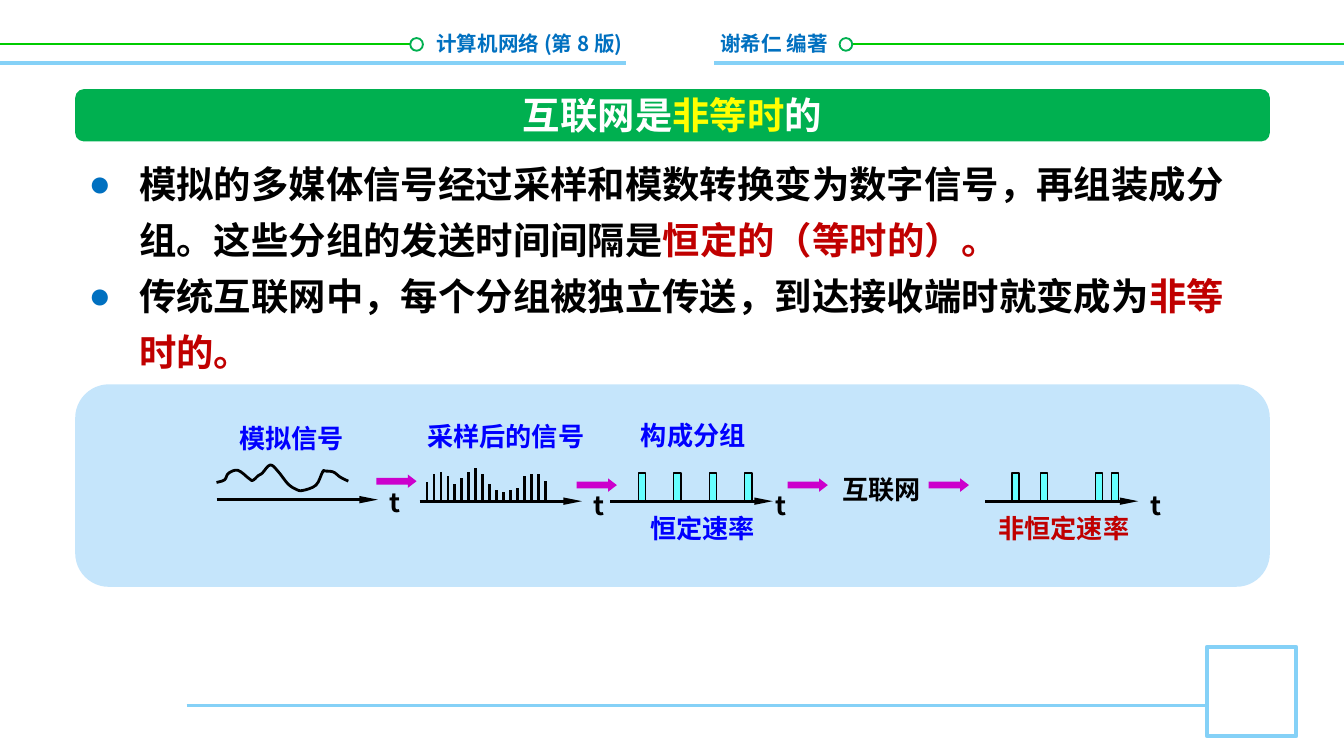
import pptx
import pptx.util
import pptx.dml.color
import pptx.enum.shapes
import pptx.enum.text
import pptx.oxml.ns
import lxml.etree

Pt = pptx.util.Pt
Kind = pptx.enum.shapes.MSO_SHAPE
Align = pptx.enum.text.PP_ALIGN
Fit = pptx.enum.text.MSO_AUTO_SIZE
Top = pptx.enum.text.MSO_ANCHOR.TOP
FONT = "Noto Sans CJK SC"
COLORS = {
    "white": "FFFFFF", "black": "000000", "sky": "85D1F7", "lime": "00CC00",
    "green": "00B050", "blue": "0070C0", "pale": "C5E5FB", "yellow": "FFFF00",
    "red": "C00000", "ink": "0000FF", "cyan": "66FFFF", "purple": "CC00CC",
}
SAMPLES = [10, 14.4, 15.8, 13.7, 9.4, 12.2, 15.8, 18, 14.4,
           9.4, 6, 5, 5.8, 7.2, 13.7, 14.4, 14.4, 10.8]
WAVE = [(0, 10.8), (4.3, 9.4), (6.5, 5.8), (11.5, 4.3), (17.3, 8.6), (19.4, 9.7),
        (22.3, 7.2), (24.5, 5.8), (28.8, 1.4), (33.1, 5), (38.2, 11.5),
        (42.5, 14.4), (46.1, 15.1), (53.3, 12.2), (56.9, 5), (58.3, 4.7),
        (62.6, 5.2), (66.2, 7.9), (70.6, 10.1)]


def color(name):
    return pptx.dml.color.RGBColor.from_string(COLORS[name])


def node(parent, tag, **attrs):
    return lxml.etree.SubElement(parent, pptx.oxml.ns.qn(tag), attrs)


def paint(shape, fill=None, line=None, width=1):
    shape.shadow.inherit = False
    if fill:
        shape.fill.solid()
        shape.fill.fore_color.rgb = color(fill)
    else:
        shape.fill.background()
    if line:
        shape.line.color.rgb = color(line)
        shape.line.width = Pt(width)
    else:
        shape.line.fill.background()


def block(slide, kind, box, *style):
    shape = slide.shapes.add_shape(kind, *map(Pt, box))
    paint(shape, *style)
    return shape


def rule(slide, x1, y1, x2, y2, name, width, arrow=False):
    line = slide.shapes.add_connector(
        pptx.enum.shapes.MSO_CONNECTOR.STRAIGHT, Pt(x1), Pt(y1), Pt(x2), Pt(y2))
    line.line.color.rgb = color(name)
    line.line.width = Pt(width)
    if arrow:
        node(line.line._get_or_add_ln(), "a:tailEnd", type="triangle", w="sm", len="lg")
    node(line._element.spPr, "a:effectLst")


def path(slide, points, *style):
    points = [(Pt(x), Pt(y)) for x, y in points]
    form = slide.shapes.build_freeform(*points[0], scale=1.0)
    form.add_line_segments(points[1:], close=False)
    paint(form.convert_to_shape(), *style)


def write(para, runs, size):
    for text, name in runs:
        run = para.add_run()
        run.text = text
        run.font.size = Pt(size)
        run.font.bold = True
        run.font.color.rgb = color(name)
        run.font.name = FONT
        node(run._r.get_or_add_rPr(), "a:ea", typeface=FONT)


def label(slide, x, y, w, h, text, name, size=14, wrap=False, align=Align.LEFT):
    frame = slide.shapes.add_textbox(Pt(x), Pt(y), Pt(w), Pt(h)).text_frame
    frame.word_wrap = wrap
    frame.auto_size = Fit.SHAPE_TO_FIT_TEXT
    frame.paragraphs[0].alignment = align
    write(frame.paragraphs[0], [(text, name)], size)


def place(slide, holder, box):
    holder.left, holder.top, holder.width, holder.height = map(Pt, box)
    slide.shapes._spTree.append(holder._element)
    frame = holder.text_frame
    frame.auto_size = Fit.NONE
    frame.vertical_anchor = Top
    frame.word_wrap = True
    return frame


def header(slide, box):
    x, y, w, h = box
    mid = y + 23.8
    rule(slide, x, y + 33.8, x + w, y + 33.8, "sky", 2)
    block(slide, Kind.RECTANGLE, (x + 335.5, y + 10, 47, h - 10), "white")
    rule(slide, x, mid, x + 223, mid, "lime", 1)
    rule(slide, x + 450, mid, x + w, mid, "lime", 1)
    label(slide, x + 378.7, y + 13, 83.5, 21, "谢希仁 编著", "blue", 11, True)
    label(slide, x + 223, y + 13, 117.5, 21, "计算机网络 (第 8 版)", "blue", 11, True, Align.RIGHT)
    for left in (219.8, 449.8):
        block(slide, Kind.OVAL, (x + left, mid - 3.4, 6.8, 6.8), "white", "green", 1)


def footer(slide, box):
    x, y, w, h = box
    rule(slide, x, y + 31.5, x + w - h, y + 31.5, "sky", 1.5)
    block(slide, Kind.RECTANGLE, (x + w - h, y, h, h), "white", "sky", 2)


def title(slide, box):
    x, y, w, h = box
    block(slide, Kind.ROUNDED_RECTANGLE, box, "green")
    frame = place(slide, slide.shapes.title, (x, y - 2.1, w, h + 3.7))
    para = frame.paragraphs[0]
    para.alignment = Align.CENTER
    write(para, [("互联网是", "white"), ("非等时", "yellow"), ("的", "white")], 20)


def body(slide, box):
    frame = place(slide, slide.placeholders[1], box)
    items = [
        [("模拟的多媒体信号经过采样和模数转换变为数字信号，再组装成分组。这些分组的发送时间间隔是", "black"),
         ("恒定的（等时的）。", "red")],
        [("传统互联网中，每个分组被独立传送，到达接收端时就变成为", "black"),
         ("非等时的。", "red")],
    ]
    for i, runs in enumerate(items):
        para = frame.add_paragraph() if i else frame.paragraphs[0]
        para.line_spacing = Pt(30)
        para.space_before = Pt(0)
        props = para._p.get_or_add_pPr()
        props.set("marL", str(Pt(27)))
        props.set("indent", str(Pt(-27)))
        node(node(props, "a:buClr"), "a:srgbClr", val=COLORS["blue"])
        node(props, "a:buChar", char="●")
        write(para, runs, 20)


def wave(slide, x, y):
    ends = [WAVE[0]] + WAVE + [WAVE[-1]]
    curve = []
    for a, b, c, d in zip(ends, ends[1:], ends[2:], ends[3:]):
        for t in (0, 0.25, 0.5, 0.75):
            curve.append([
                o + (2 * q + (r - p) * t + (2 * p - 5 * q + 4 * r - s) * t ** 2
                     + (3 * q - p - 3 * r + s) * t ** 3) / 2
                for o, p, q, r, s in zip((x, y), a, b, c, d)])
    curve.append((x + WAVE[-1][0], y + WAVE[-1][1]))
    path(slide, curve, None, "black", 1.5)


def pulses(slide, x, y, steps):
    for step in steps:
        a, b, top = x + step, x + step + 3.8, y - 15.1
        path(slide, [(a, y), (a, top), (b, top), (b, y)], "cyan", "black", 0.75)


def panel(slide, box):
    x, y, w, h = box
    block(slide, Kind.ROUNDED_RECTANGLE, box, "pale")
    base = y + 62.6
    axes = [(75.7, 86.5, -0.8), (184.5, 87, 0), (286.7, 87, 0), (487.5, 82, 0)]
    wave(slide, x + 75.7, y + 41.8)
    for i, size in enumerate(SAMPLES):
        left = x + 188.5 + 3.73 * i
        rule(slide, left, base, left, base - size, "black", 1.5)
    pulses(slide, x + 286.7, base, [15 + 19 * i for i in range(4)])
    pulses(slide, x + 487.5, base, [14.4, 29.5, 59.2, 67.6])
    for left, size, drop in axes:
        rule(slide, x + left, base + drop, x + left + size, base + drop, "black", 1.5, True)
    for left, top in ((161.3, 48.3), (268.6, 50.4), (381.6, 50.4), (457.2, 50.4)):
        arrow = block(slide, Kind.RIGHT_ARROW, (x + left, y + top, 21.6, 7.2), "purple")
        arrow.adjustments[1] = 0.65
    words = [
        (80.7, 16.6, 72, "模拟信号", "ink"), (181.5, 15.9, 101, "采样后的信号", "ink"),
        (296, 15.2, 72, "构成分组", "ink"), (301, 64.8, 72, "恒定速率", "ink"),
        (487.5, 64.8, 86.4, "非恒定速率", "red"), (404, 44, 57.6, "互联网", "black"),
        (161.3, 51.2, 20.9, "t", "black"), (270.8, 52.6, 20.9, "t", "black"),
        (368, 52.6, 20.9, "t", "black"), (568.8, 52.6, 20.9, "t", "black"),
    ]
    for left, top, size, text, name in words:
        label(slide, x + left, y + top, size, 24.5, text, name)


def main():
    deck = pptx.Presentation()
    deck.slide_width, deck.slide_height = Pt(720), Pt(405)
    slide = deck.slides.add_slide(deck.slide_layouts[1])
    footer(slide, (100, 346.5, 594.5, 48))
    header(slide, (0, 0, 720, 47))
    panel(slide, (40.3, 205.9, 640, 108.5))
    body(slide, (40.3, 77, 640, 128))
    title(slide, (40.3, 47.8, 640, 28))
    deck.save("out.pptx")


if __name__ == "__main__":
    main()
